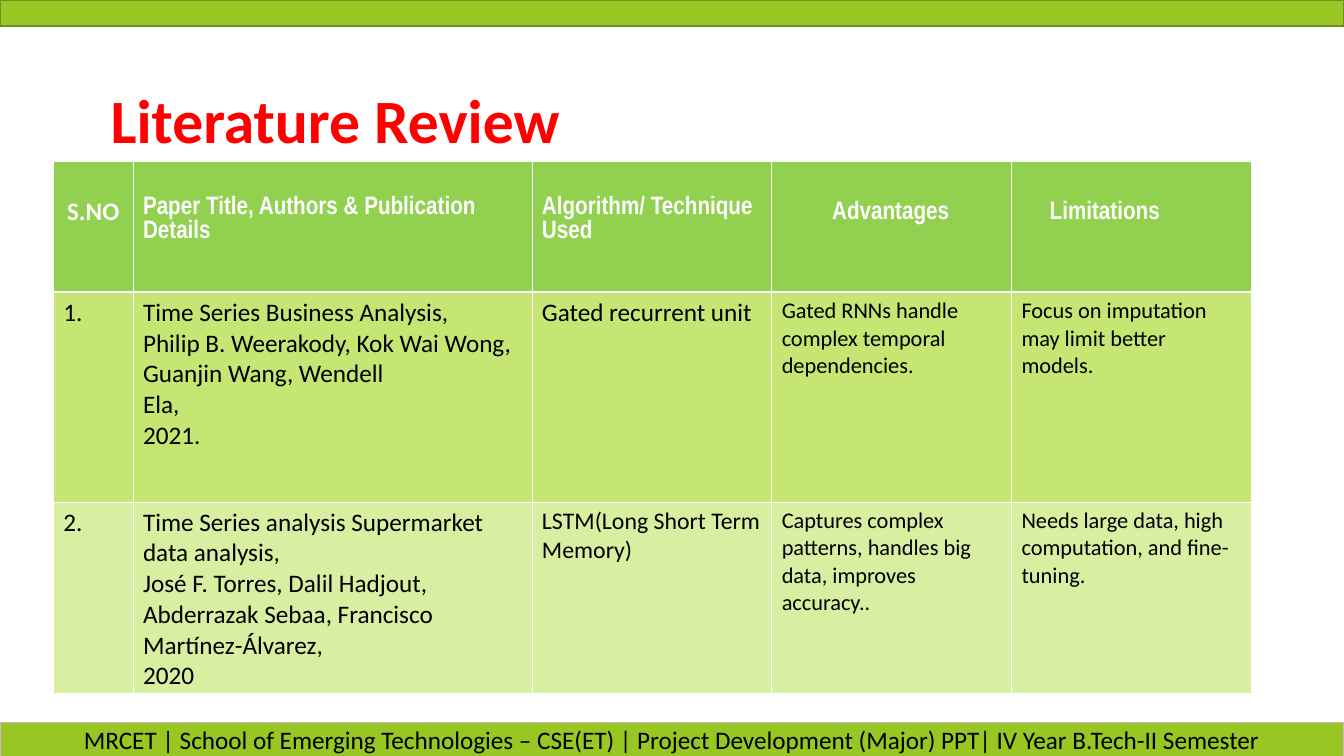
from pptx import Presentation
from pptx.dml.color import RGBColor
from pptx.enum.shapes import MSO_SHAPE
from pptx.enum.text import MSO_ANCHOR, PP_ALIGN
from pptx.oxml import parse_xml
from pptx.oxml.ns import nsdecls
from pptx.util import Inches, Pt

WHITE = RGBColor(0xFF, 0xFF, 0xFF)
BLACK = RGBColor(0x00, 0x00, 0x00)
RED = RGBColor(0xFF, 0x00, 0x00)
BAR_GREEN = RGBColor(0x98, 0xC7, 0x23)
BAR_EDGE = RGBColor(0x6E, 0x92, 0x17)
FOOTER_EDGE = RGBColor(0xD4, 0xB0, 0xD2)
HEADER_GREEN = RGBColor(0x92, 0xD0, 0x50)
ROW_GREENS = [RGBColor(0xC5, 0xE6, 0x72), RGBColor(0xD8, 0xEE, 0xA1)]

SLIDE_WIDTH = 13.34
COLUMN_WIDTHS = [0.79, 3.96, 2.38, 2.38, 2.38]
ROW_HEIGHTS = [1.3, 2.08, 1.9]
THIN, THICK = 0.45, 1.47

# Text, font, alignment, left margin, top margin
HEADERS = [
    ("S.NO", "Calibri", PP_ALIGN.CENTER, 0.1, 0.35),
    ("Paper Title, Authors & Publication Details", "Arial Narrow", PP_ALIGN.LEFT, 0.1, 0.35),
    ("Algorithm/ Technique Used", "Arial Narrow", PP_ALIGN.LEFT, 0.1, 0.35),
    ("Advantages", "Arial Narrow", PP_ALIGN.LEFT, 0.6, 0.4),
    ("Limitations", "Arial Narrow", PP_ALIGN.LEFT, 0.38, 0.4),
]

# Each cell: text and size
PAPERS = [
    [
        ("1.", 18),
        ("Time Series Business Analysis,\n"
         "Philip B. Weerakody, Kok Wai Wong, Guanjin Wang, Wendell \n"
         "Ela,\n2021.", 18),
        ("Gated recurrent unit", 18),
        ("Gated RNNs handle complex temporal dependencies.", 16),
        ("Focus on imputation may limit better models.", 16),
    ],
    [
        ("2.", 18),
        ("Time Series analysis Supermarket data analysis,\n"
         "José F. Torres, Dalil Hadjout, Abderrazak Sebaa, Francisco Martínez-Álvarez,\n"
         "2020", 18),
        ("LSTM(Long Short Term Memory)", 17),
        ("Captures complex patterns, handles big data, improves accuracy..", 16),
        ("Needs large data, high computation, and fine-tuning.", 16),
    ],
]


def write(tf, text, size, color, font="Calibri", bold=False, align=PP_ALIGN.LEFT):
    tf.word_wrap = True
    tf.text = text
    for p in tf.paragraphs:
        p.alignment = align
        p.font.name = font
        p.font.size = Pt(size)
        p.font.bold = bold
        p.font.color.rgb = color


def add_bar(s, top, height, edge):
    sp = s.shapes.add_shape(MSO_SHAPE.RECTANGLE, 0, Inches(top), Inches(SLIDE_WIDTH), Inches(height))
    sp.shadow.inherit = False
    sp.fill.solid()
    sp.fill.fore_color.rgb = BAR_GREEN
    sp.line.color.rgb = edge
    sp.line.width = Pt(1)
    return sp


def add_title(s, text):
    box = s.shapes.add_textbox(Inches(1), Inches(0.76), Inches(10.71), Inches(0.84))
    write(box.text_frame, text, 44, RED, bold=True)


def style_cell(cell, fill, top, bottom):
    """Fill the cell and draw white borders; top and bottom are widths in points."""
    tc_pr = cell._tc.get_or_add_tcPr()
    for side, width in (("L", THIN), ("R", THIN), ("T", top), ("B", bottom)):
        tc_pr.append(parse_xml(
            f'<a:ln{side} {nsdecls("a")} w="{Pt(width)}"><a:solidFill>'
            f'<a:srgbClr val="{WHITE}"/></a:solidFill></a:ln{side}>'))
    cell.fill.solid()
    cell.fill.fore_color.rgb = fill


def add_review_table(s):
    table = s.shapes.add_table(
        len(ROW_HEIGHTS), len(COLUMN_WIDTHS), Inches(0.53), Inches(1.6),
        Inches(sum(COLUMN_WIDTHS)), Inches(sum(ROW_HEIGHTS))).table
    for column, width in zip(table.columns, COLUMN_WIDTHS):
        column.width = Inches(width)
    for row, height in zip(table.rows, ROW_HEIGHTS):
        row.height = Inches(height)

    for col, (text, font, align, left, top) in enumerate(HEADERS):
        cell = table.cell(0, col)
        style_cell(cell, HEADER_GREEN, THIN, THICK)
        cell.margin_left = Inches(left)
        cell.margin_top = Inches(top)
        write(cell.text_frame, text, 18, WHITE, font, True, align)

    for row, (paper, fill) in enumerate(zip(PAPERS, ROW_GREENS), start=1):
        for col, (text, size) in enumerate(paper):
            cell = table.cell(row, col)
            style_cell(cell, fill, THICK if row == 1 else THIN, THIN)
            write(cell.text_frame, text, size, BLACK)


def main():
    prs = Presentation()
    prs.slide_width = Inches(SLIDE_WIDTH)
    prs.slide_height = Inches(7.5)
    s = prs.slides.add_slide(prs.slide_layouts[6])

    add_bar(s, 0, 0.26, BAR_EDGE)
    footer = add_bar(s, 7.17, 0.34, FOOTER_EDGE)
    footer.text_frame.vertical_anchor = MSO_ANCHOR.MIDDLE
    write(footer.text_frame,
          "MRCET | School of Emerging Technologies – CSE(ET) | "
          "Project Development (Major) PPT| IV Year B.Tech-II Semester",
          18, BLACK, align=PP_ALIGN.CENTER)
    add_title(s, "Literature Review")
    add_review_table(s)
    prs.save("out.pptx")


if __name__ == "__main__":
    main()
